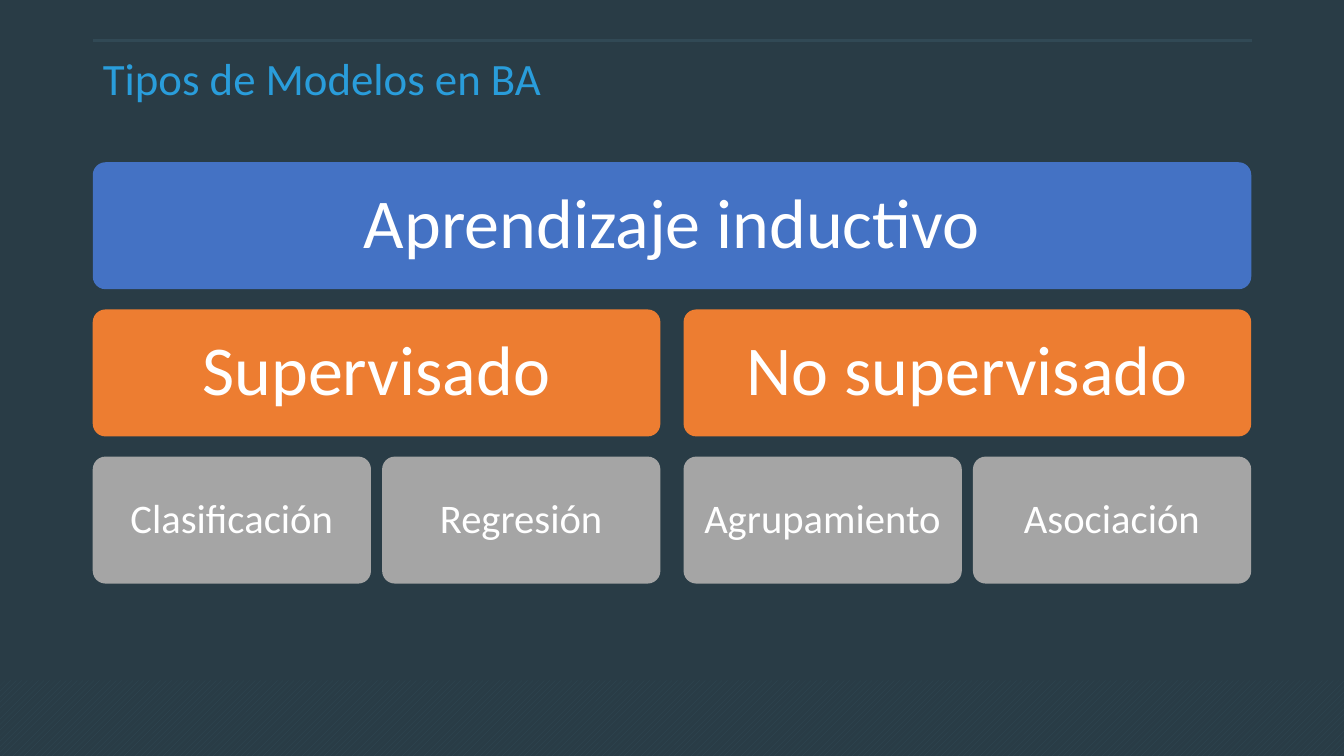
from lxml import etree
from pptx import Presentation
from pptx import util as u
from pptx.dml.color import RGBColor
from pptx.enum import dml, shapes, text
from pptx.oxml import ns

NIGHT = RGBColor(0x29, 0x3C, 0x46)
SLATE = RGBColor(0x31, 0x49, 0x55)
SKY = RGBColor(0x29, 0x9D, 0xDB)
BLUE = RGBColor(0x44, 0x72, 0xC4)
ORANGE = RGBColor(0xED, 0x7D, 0x31)
GREY = RGBColor(0xA5, 0xA5, 0xA5)
WHITE = RGBColor(0xFF, 0xFF, 0xFF)

WIDE, HIGH = 13.33, 7.5
LEFT, RULE, SPAN = 0.92, 0.4, 11.5
TOP, STEP, TALL = 1.61, 1.46, 1.26
PITCH, CELL, GAP = 2.87, 2.76, 0.12

LEVELS = [
    (BLUE, 50, 0.21, ["Aprendizaje inductivo"]),
    (ORANGE, 50, 0.21, ["Supervisado", "No supervisado"]),
    (GREY, 29, 0.12, ["Clasificación", "Regresión", "Agrupamiento", "Asociación"]),
]


class Deck:
    font = "Calibri"

    def __init__(self):
        self.prs = Presentation()
        self.prs.slide_width = u.Inches(WIDE)
        self.prs.slide_height = u.Inches(HIGH)
        self.slide = self.prs.slides.add_slide(self.prs.slide_layouts[5])
        fill = self.slide.background.fill
        fill.solid()
        fill.fore_color.rgb = NIGHT

    def label(self, shape, words, size, color, align):
        frame = shape.text_frame
        frame.word_wrap = True
        frame.auto_size = text.MSO_AUTO_SIZE.NONE
        frame.vertical_anchor = text.MSO_ANCHOR.MIDDLE
        para = frame.paragraphs[0]
        para.alignment = align
        para.line_spacing = 0.9
        run = para.add_run()
        run.text = words
        run.font.name = self.font
        run.font.size = u.Pt(size)
        run.font.color.rgb = color

    def title(self, words):
        head = self.slide.shapes.title
        head.left, head.top = u.Inches(LEFT), u.Inches(RULE)
        head.width, head.height = u.Inches(SPAN), u.Inches(0.81)
        self.label(head, words, 32, SKY, text.PP_ALIGN.LEFT)

    def shape(self, kind, x, y, w, h):
        item = self.slide.shapes.add_shape(kind, *map(u.Inches, (x, y, w, h)))
        item.shadow.inherit = False
        item.line.fill.background()
        return item

    def band(self, share):
        high = HIGH * share
        fill = self.shape(shapes.MSO_SHAPE.RECTANGLE, 0, HIGH - high, WIDE, high).fill
        fill.patterned()
        fill.pattern = dml.MSO_PATTERN.WIDE_UPWARD_DIAGONAL
        fill.fore_color.rgb = SLATE
        fill.back_color.rgb = NIGHT

    def rule(self):
        ends = map(u.Inches, (LEFT, RULE, LEFT + SPAN, RULE))
        line = self.slide.shapes.add_connector(shapes.MSO_CONNECTOR.STRAIGHT, *ends)
        line.line.color.rgb = SLATE
        line.line.width = u.Pt(2.25)
        etree.SubElement(line._element.spPr, ns.qn("a:effectLst"))

    def box(self, row, col, cols, words, fill, size, inset):
        x, last = (LEFT + c * PITCH + c // 2 * GAP for c in (col, col + cols - 1))
        item = self.shape(shapes.MSO_SHAPE.ROUNDED_RECTANGLE,
                          x, TOP + row * STEP, last + CELL - x, TALL)
        item.adjustments[0] = 0.1
        item.fill.solid()
        item.fill.fore_color.rgb = fill
        frame = item.text_frame
        frame.margin_left = frame.margin_right = u.Inches(inset)
        frame.margin_top = frame.margin_bottom = u.Inches(inset)
        self.label(item, words, size, WHITE, text.PP_ALIGN.CENTER)


def main():
    deck = Deck()
    deck.band(0.1)
    deck.rule()
    deck.title("Tipos de Modelos en BA")
    for row, (fill, size, inset, names) in enumerate(LEVELS):
        cols = 4 // len(names)
        for i, name in enumerate(names):
            deck.box(row, i * cols, cols, name, fill, size, inset)
    deck.prs.save("out.pptx")


if __name__ == "__main__":
    main()
